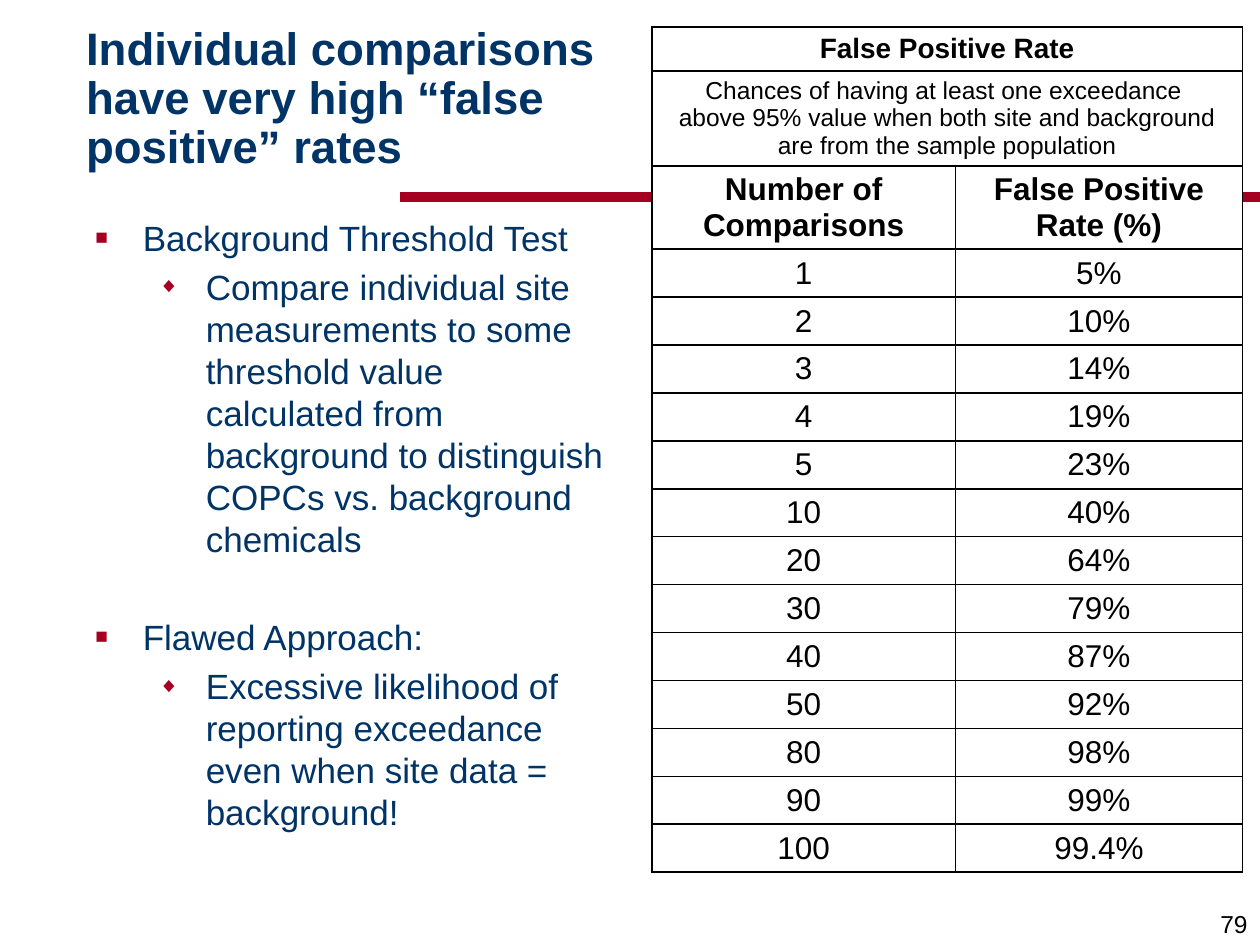
from dataclasses import dataclass

from lxml import etree
from pptx import Presentation
from pptx.dml.color import RGBColor
from pptx.enum import shapes, text
from pptx.oxml import ns
from pptx.util import Pt


@dataclass(frozen=True)
class Theme:
    font: str = "Arial"
    navy: str = "003366"
    red: str = "A50021"
    black: str = "000000"
    white: str = "FFFFFF"
    title: int = 26
    body: int = 20
    cell: int = 18
    heading: int = 16
    small: int = 14


THEME = Theme()

# bullet, left margin, space before, text
POINTS = [
    ("■", 27, 0, "Background Threshold Test"),
    ("◆", 63, 4, "Compare individual site measurements to some threshold value "
     "calculated from background to distinguish COPCs vs. background chemicals"),
    ("■", 27, 32, "Flawed Approach:"),
    ("◆", 63, 4, "Excessive likelihood of reporting exceedance even when "
     "site data = background!"),
]
CAPTION = ("Chances of having at least one exceedance ",
           "above 95% value when both site and background are from the sample population")
HEADERS = ("Number of Comparisons", "False Positive Rate (%)")
RATES = {"1": "5%", "2": "10%", "3": "14%", "4": "19%", "5": "23%", "10": "40%",
         "20": "64%", "30": "79%", "40": "87%", "50": "92%", "80": "98%",
         "90": "99%", "100": "99.4%"}


def box(shape, left, top, width, height):
    shape.left, shape.top, shape.width, shape.height = map(Pt, (left, top, width, height))


def add_run(p, words, size, color, bold=False):
    r = p.add_run()
    r.text = words
    r.font.name, r.font.size, r.font.bold = THEME.font, Pt(size), bold
    r.font.color.rgb = RGBColor.from_string(color)


def child(parent, tag, **attributes):
    return etree.SubElement(parent, ns.qn(tag), attributes)


def set_bullet(p, char, margin, hanging=27):
    pPr = p._p.get_or_add_pPr()
    pPr.set("marL", str(Pt(margin)))
    pPr.set("indent", str(-Pt(hanging)))
    child(child(pPr, "a:buClr"), "a:srgbClr", val=THEME.red)
    child(pPr, "a:buSzPct", val="60000")
    child(pPr, "a:buFont", typeface=THEME.font)
    child(pPr, "a:buChar", char=char)


def add_rule(s):
    line = s.shapes.add_connector(shapes.MSO_CONNECTOR.STRAIGHT,
                                  Pt(228.5), Pt(112.5), Pt(720), Pt(112.5))
    line.line.color.rgb = RGBColor.from_string(THEME.red)
    line.line.width = Pt(6)
    child(line._element.spPr, "a:effectLst")


def set_title(s):
    sp = s.shapes.title
    box(sp, 42, 12.25, 340, 90)
    tf = sp.text_frame
    tf.word_wrap = True
    tf.auto_size = text.MSO_AUTO_SIZE.NONE
    tf.vertical_anchor = text.MSO_ANCHOR.MIDDLE
    p = tf.paragraphs[0]
    p.alignment = text.PP_ALIGN.LEFT
    p.line_spacing = 0.9
    add_run(p, "Individual comparisons have very high “false positive” rates",
            THEME.title, THEME.navy, bold=True)


def add_text_box(s, *place):
    tf = s.shapes.add_textbox(*map(Pt, place)).text_frame
    tf.word_wrap = True
    return tf


def add_points(s):
    tf = add_text_box(s, 47.5, 120.25, 307.5, 378)
    for i, (char, margin, before, words) in enumerate(POINTS):
        p = tf.add_paragraph() if i else tf.paragraphs[0]
        p.level = int(char == "◆")
        set_bullet(p, char, margin)
        p.space_before = Pt(before)
        add_run(p, words, THEME.body, THEME.navy)


def add_page_number(s):
    tf = add_text_box(s, 570, 504, 150, 36)
    tf.vertical_anchor = text.MSO_ANCHOR.BOTTOM
    p = tf.paragraphs[0]
    p.alignment = text.PP_ALIGN.RIGHT
    add_run(p, "79", THEME.small, THEME.black)


def style_cell(cell):
    tcPr = cell._tc.get_or_add_tcPr()
    for side in ("a:lnL", "a:lnR", "a:lnT", "a:lnB"):
        ln = child(tcPr, side, w=str(Pt(1)))
        child(child(ln, "a:solidFill"), "a:srgbClr", val=THEME.black)
    cell.fill.solid()
    cell.fill.fore_color.rgb = RGBColor.from_string(THEME.white)
    cell.vertical_anchor = text.MSO_ANCHOR.BOTTOM
    cell.margin_top = 0


def fill_cell(cell, lines, size, bold=False):
    p = cell.text_frame.paragraphs[0]
    p.alignment = text.PP_ALIGN.CENTER
    for i, line in enumerate(lines):
        if i:
            p.add_line_break()
        add_run(p, line, size, THEME.black, bold)


def add_rate_table(s):
    heights = [25.1, 54.2, 47.6] + [27.4] * len(RATES)
    frame = s.shapes.add_table(len(heights), 2, Pt(372.5), Pt(15.5), Pt(337.5), Pt(sum(heights)))
    table = frame.table
    for column, width in zip(table.columns, (173.5, 164)):
        column.width = Pt(width)
    for row, height in zip(table.rows, heights):
        row.height = Pt(height)
        for cell in row.cells:
            style_cell(cell)
    for r in (0, 1):
        table.cell(r, 0).merge(table.cell(r, 1))
    fill_cell(table.cell(0, 0), ["False Positive Rate"], THEME.heading, bold=True)
    fill_cell(table.cell(1, 0), CAPTION, THEME.small)
    for r, values in enumerate([HEADERS, *RATES.items()], start=2):
        for c, value in enumerate(values):
            fill_cell(table.cell(r, c), [value], THEME.cell, bold=values is HEADERS)


def main():
    prs = Presentation()
    prs.slide_width, prs.slide_height = Pt(720), Pt(540)
    s = prs.slides.add_slide(prs.slide_layouts[5])
    add_rule(s)
    add_page_number(s)
    set_title(s)
    add_points(s)
    add_rate_table(s)
    prs.save("out.pptx")


if __name__ == "__main__":
    main()
